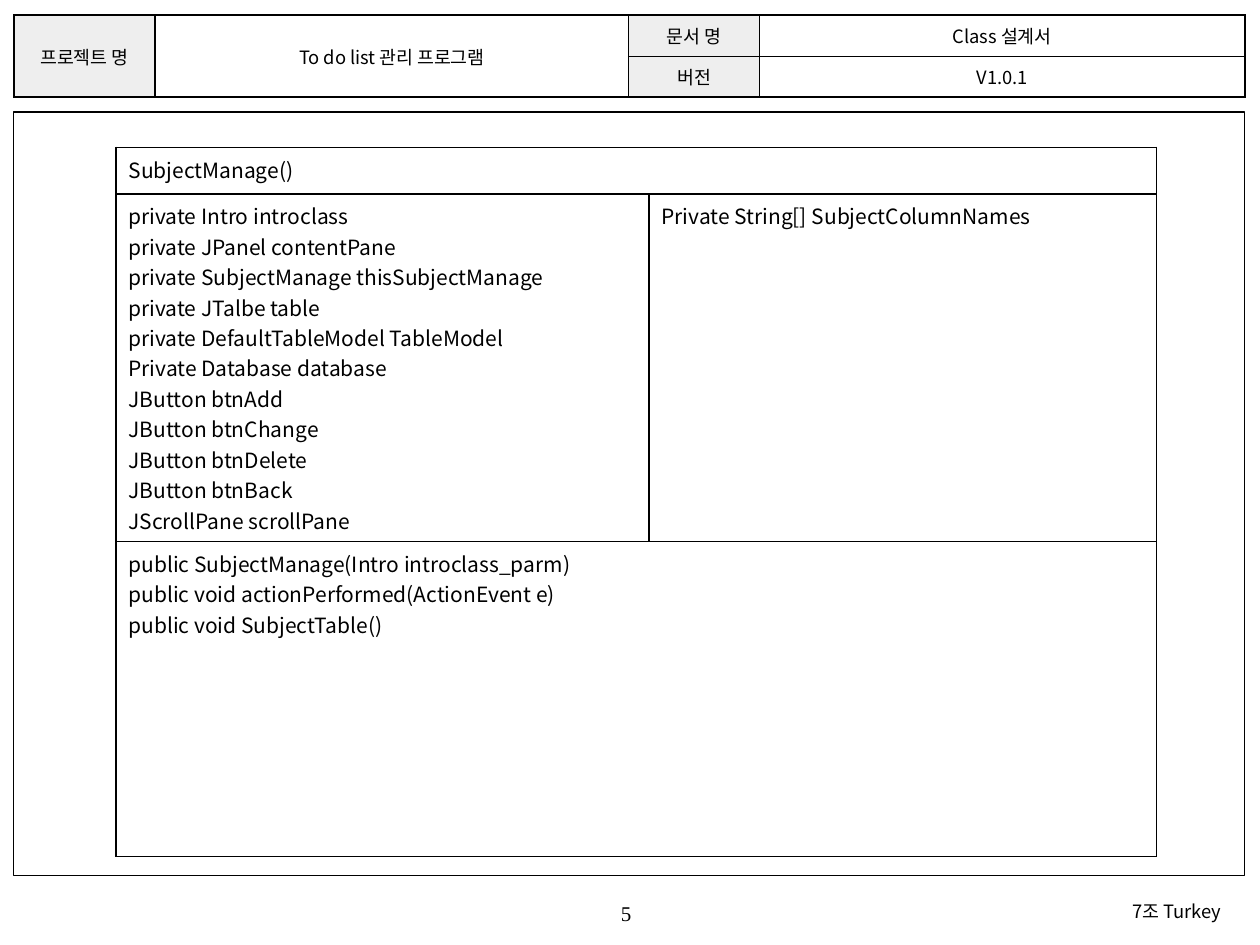
from lxml import etree
from pptx import Presentation
from pptx.dml.color import RGBColor
from pptx.enum.shapes import MSO_SHAPE
from pptx.enum.text import MSO_ANCHOR, PP_ALIGN
from pptx.oxml.ns import qn
from pptx.util import Inches, Pt

RECT = MSO_SHAPE.RECTANGLE
MIDDLE, TOP = MSO_ANCHOR.MIDDLE, MSO_ANCHOR.TOP
LEFT, CENTER, RIGHT = PP_ALIGN.LEFT, PP_ALIGN.CENTER, PP_ALIGN.RIGHT

SANS, SERIF = "Noto Sans CJK KR", "Times New Roman"
BLACK, GRAY = "000000", "EEEEEE"
EDGE, WIDTH = 0.11, 9.77

FIELDS = [
    "private Intro introclass",
    "private JPanel contentPane",
    "private SubjectManage thisSubjectManage",
    "private JTalbe table",
    "private DefaultTableModel TableModel",
    "Private Database database",
    "JButton btnAdd",
    "JButton btnChange",
    "JButton btnDelete",
    "JButton btnBack",
    "JScrollPane scrollPane",
]
METHODS = [
    "public SubjectManage(Intro introclass_parm)",
    "public void actionPerformed(ActionEvent e)",
    "public void SubjectTable()",
]


def color(code):
    return RGBColor.from_string(code)


def write(frame, text, size, align, font=SANS):
    frame.text = text
    for para in frame.paragraphs:
        para.alignment = align
        for run in para.runs:
            run.font.size = Pt(size)
            run.font.name = font
            run.font.color.rgb = color(BLACK)
            # East Asian letters take their font from a:ea
            east = etree.SubElement(run.font._element, qn("a:ea"))
            east.set("typeface", font)


def add_label(slide, box, text, size, align, font=SANS):
    frame = slide.shapes.add_textbox(*map(Inches, box)).text_frame
    frame.word_wrap = True
    frame.vertical_anchor = MIDDLE
    frame.margin_left = frame.margin_right = 0
    frame.margin_top = frame.margin_bottom = 0
    write(frame, text, size, align, font)


def add_frame(slide, box):
    shape = slide.shapes.add_shape(RECT, *map(Inches, box))
    shape.shadow.inherit = False
    shape.fill.background()
    shape.line.color.rgb = color(BLACK)
    shape.line.width = Pt(0.75)


def add_border(cell):
    props = cell._tc.get_or_add_tcPr()
    for spot, side in enumerate(("a:lnL", "a:lnR", "a:lnT", "a:lnB")):
        line = etree.Element(qn(side), w=str(Pt(1)))
        fill = etree.SubElement(line, qn("a:solidFill"))
        etree.SubElement(fill, qn("a:srgbClr"), val=BLACK)
        props.insert(spot, line)


def add_grid(slide, left, top, cols, rows):
    box = (left, top, sum(cols), sum(rows))
    table = slide.shapes.add_table(
        len(rows), len(cols), *map(Inches, box)).table
    table.first_row = table.horz_banding = False
    for col, width in zip(table.columns, cols):
        col.width = Inches(width)
    for row, height in zip(table.rows, rows):
        row.height = Inches(height)
    for cell in table.iter_cells():
        cell.fill.background()
        add_border(cell)
    return table


def fill_head(table):
    for col in (0, 1):
        table.cell(0, col).merge(table.cell(1, col))
    items = [
        (0, 0, "프로젝트 명", True),
        (0, 1, "To do list 관리 프로그램", False),
        (0, 2, "문서 명", True),
        (0, 3, "Class 설계서", False),
        (1, 2, "버전", True),
        (1, 3, "V1.0.1", False),
    ]
    for row, col, text, shaded in items:
        cell = table.cell(row, col)
        cell.vertical_anchor = MIDDLE
        cell.margin_left = cell.margin_right = Inches(0.04)
        cell.margin_top = cell.margin_bottom = Inches(0.02)
        write(cell.text_frame, text, 10.5, CENTER)
        if shaded:
            cell.fill.solid()
            cell.fill.fore_color.rgb = color(GRAY)


def fill_class(table):
    for row in (0, 2):
        table.cell(row, 0).merge(table.cell(row, 1))
    items = [
        (0, 0, ["SubjectManage()"]),
        (1, 0, FIELDS),
        (1, 1, ["Private String[] SubjectColumnNames"]),
        (2, 0, METHODS),
    ]
    for row, col, lines in items:
        cell = table.cell(row, col)
        cell.vertical_anchor = TOP
        write(cell.text_frame, "\n".join(lines), 12, LEFT)


def main():
    deck = Presentation()
    deck.slide_width, deck.slide_height = Inches(10), Inches(7.5)
    slide = deck.slides.add_slide(deck.slide_layouts[6])

    # Page number
    add_label(slide, (3.93, 7.08, 2.08, 0.33), "5", 12, CENTER, SERIF)

    # Document header
    fill_head(add_grid(slide, EDGE, 0.12,
                       (1.12, 3.76, 1.04, 3.85), (0.33, 0.32)))

    # Page frame and team name
    add_frame(slide, (EDGE, 0.89, WIDTH, 6.06))
    add_label(slide, (6.63, 7.07, 3.06, 0.33), "7조 Turkey", 10.5, RIGHT)

    # Class design: name, fields, methods
    fill_class(add_grid(slide, 0.92, 1.17, (4.23, 4.03), (0.37, 2.76, 2.5)))

    deck.save("out.pptx")


if __name__ == "__main__":
    main()
